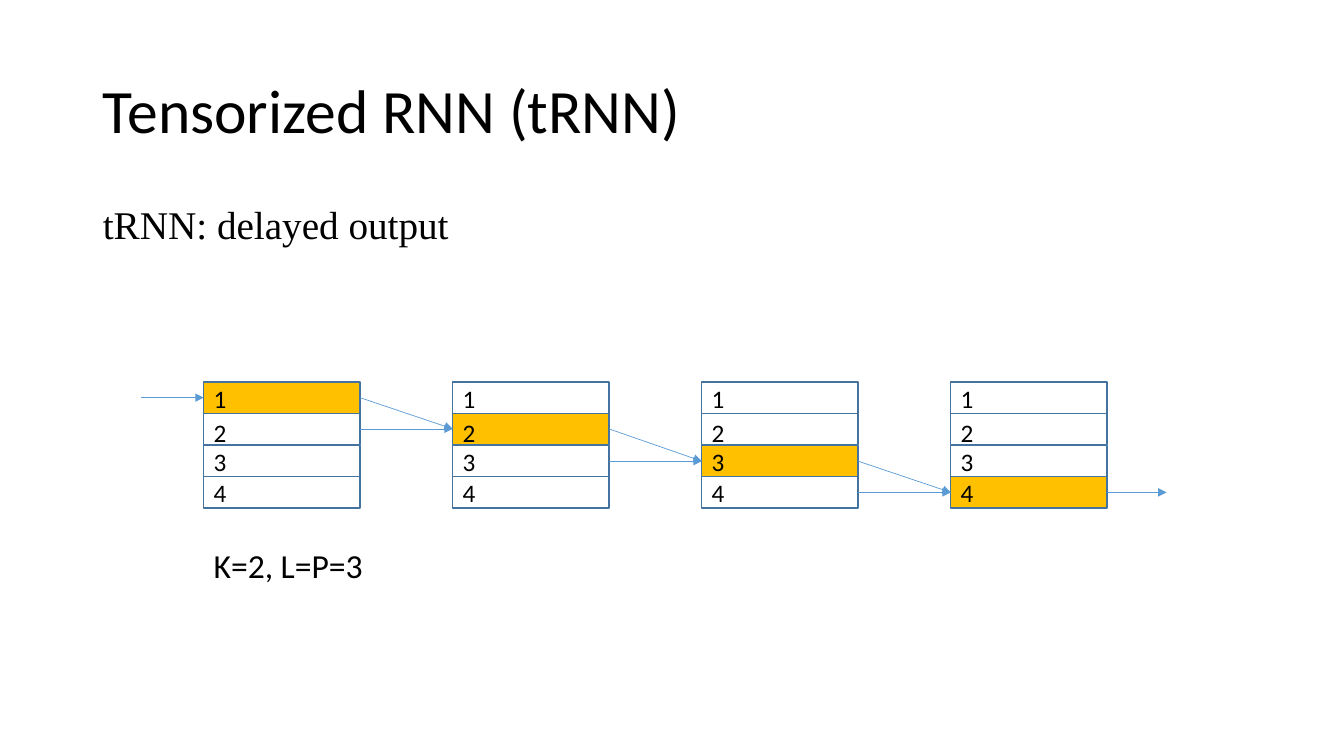
from pptx import Presentation
from pptx.dml.color import RGBColor
from pptx.enum.shapes import MSO_CONNECTOR, MSO_SHAPE
from pptx.enum.text import MSO_ANCHOR, MSO_AUTO_SIZE, PP_ALIGN
from pptx.oxml.ns import qn
from pptx.util import Pt
from lxml import etree

RECTANGLE = MSO_SHAPE.RECTANGLE
STRAIGHT = MSO_CONNECTOR.STRAIGHT
LEFT = PP_ALIGN.LEFT
TOP, MIDDLE = MSO_ANCHOR.TOP, MSO_ANCHOR.MIDDLE
NO_FIT, GROW = MSO_AUTO_SIZE.NONE, MSO_AUTO_SIZE.SHAPE_TO_FIT_TEXT

BLACK = RGBColor(0x00, 0x00, 0x00)
ACTIVE = RGBColor(0xFF, 0xC0, 0x00)
BORDER = RGBColor(0x43, 0x73, 0x9E)
ARROW = RGBColor(0x5B, 0x9B, 0xD5)

PX = 9144  # 100 px to the inch
STATES = 4
ROWS = 4
STATE_PITCH = 247
CELL_WIDTH, CELL_HEIGHT = 155, 31
NUMBER_LIFT = (4, 1, 4, 4)
LEFT_SIDE, RIGHT_SIDE = 1, 3


def px(*lengths):
    return [round(length * PX) for length in lengths]


def write(shape, text, size, font="Calibri", anchor=TOP, spacing=None, fit=GROW):
    frame = shape.text_frame
    frame.word_wrap = True
    frame.auto_size = fit
    frame.vertical_anchor = anchor
    paragraph = frame.paragraphs[0]
    paragraph.text = text
    paragraph.alignment = LEFT
    paragraph.space_before = Pt(0)
    if spacing:
        paragraph.line_spacing = spacing
    paragraph.font.name = font
    paragraph.font.size = Pt(size)
    paragraph.font.color.rgb = BLACK
    return paragraph


def place(shape, box):
    shape.left, shape.top, shape.width, shape.height = px(*box)


def add_label(slide, text, box, size):
    write(slide.shapes.add_textbox(*px(*box)), text, size)


def add_heading(slide, title_box, lead_box):
    title, lead = slide.placeholders
    place(title, title_box)
    write(title, "Tensorized RNN (tRNN)", 44, anchor=MIDDLE, spacing=0.9, fit=NO_FIT)
    place(lead, lead_box)
    sentence = write(lead, "tRNN: delayed output", 28, font="Times New Roman",
                     spacing=0.9, fit=NO_FIT)
    properties = sentence._p.get_or_add_pPr()
    properties.set("marL", "0")
    properties.set("indent", "0")
    bullet = etree.Element(qn("a:buNone"))
    properties.find(qn("a:spcBef")).addnext(bullet)


def add_state(slide, left, top, active_row):
    """Draw one stack of numbered cells and return its cells."""
    cells = []
    for row in range(ROWS):
        cell_top = top + round(row * 31.33)
        cell = slide.shapes.add_shape(
            RECTANGLE, *px(left, cell_top, CELL_WIDTH, CELL_HEIGHT))
        cell.shadow.inherit = False
        if row == active_row:
            cell.fill.solid()
            cell.fill.fore_color.rgb = ACTIVE
        else:
            cell.fill.background()
        cell.line.color.rgb = BORDER
        cell.line.width = Pt(1)
        cells.append(cell)
    for row in range(ROWS):
        number_top = top + round(row * 31.33) - NUMBER_LIFT[row]
        add_label(slide, str(row + 1), (left, number_top, 30, 40), 18)
    return cells


def add_arrow(slide, source=None, target=None, length=0):
    """Join two cells, or run a free arrow of the given length at one cell."""
    cell = source or target
    middle = cell.top + cell.height // 2
    start = source.left + source.width if source else target.left - length * PX
    end = target.left if target else start + length * PX
    arrow = slide.shapes.add_connector(STRAIGHT, start, middle, end, middle)
    if source:
        arrow.begin_connect(source, RIGHT_SIDE)
    if target:
        arrow.end_connect(target, LEFT_SIDE)
    arrow.line.color.rgb = ARROW
    arrow.line.width = Pt(0.5)
    etree.SubElement(arrow.line._get_or_add_ln(), qn("a:tailEnd"), type="triangle")
    etree.SubElement(arrow._element.spPr, qn("a:effectLst"))


def add_network(slide, left, top):
    states = [add_state(slide, left + step * STATE_PITCH, top, step)
              for step in range(STATES)]
    add_arrow(slide, target=states[0][0], length=62)
    for step in range(STATES - 1):
        target = states[step + 1][step + 1]
        for row in (step, step + 1):
            add_arrow(slide, source=states[step][row], target=target)
    add_arrow(slide, source=states[-1][-1], length=59)
    add_label(slide, "K=2, L=P=3", (left, top + 157, 217, 50), 24)


def main():
    deck = Presentation()
    deck.slide_width, deck.slide_height = px(1333, 750)
    slide = deck.slides.add_slide(deck.slide_layouts[1])
    add_heading(slide, (92, 40, 1150, 145), (92, 199, 422, 66))
    add_network(slide, 202, 379)
    deck.save("out.pptx")


if __name__ == "__main__":
    main()
